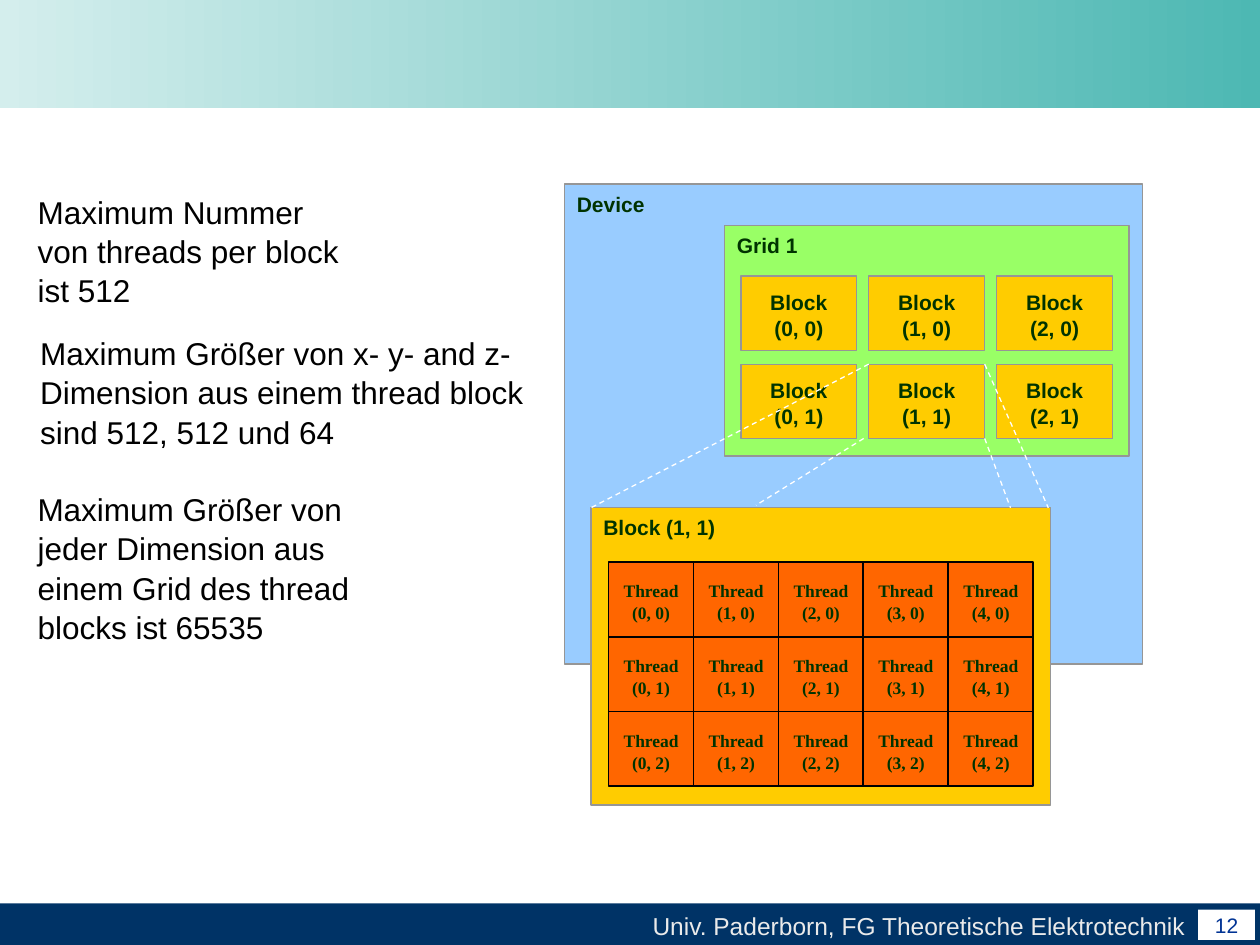
from dataclasses import dataclass
from itertools import product

from lxml import etree
from pptx import Presentation
from pptx.dml.color import RGBColor
from pptx.enum.dml import MSO_LINE
from pptx.enum.shapes import MSO_CONNECTOR, MSO_SHAPE
from pptx.enum.text import MSO_ANCHOR, PP_ALIGN
from pptx.oxml.ns import qn
from pptx.util import Inches, Pt

RECT = MSO_SHAPE.RECTANGLE
STRAIGHT = MSO_CONNECTOR.STRAIGHT
LEFT, CENTER, RIGHT = PP_ALIGN.LEFT, PP_ALIGN.CENTER, PP_ALIGN.RIGHT
TOP, MIDDLE = MSO_ANCHOR.TOP, MSO_ANCHOR.MIDDLE
DASH = MSO_LINE.DASH
INSETS = (0.1, 0.05, 0.1, 0.05)


@dataclass(frozen=True)
class Theme:
    sans: str = "Arial"
    serif: str = "Times New Roman"
    banner_start: str = "D4EEED"
    banner_end: str = "4DB8B3"
    footer: str = "003366"
    footer_text: str = "EAEAEA"
    page_text: str = "003394"
    white: str = "FFFFFF"
    black: str = "000000"
    device: str = "99CCFF"
    grid: str = "99FF66"
    block: str = "FFCC00"
    thread: str = "FF6600"
    outline: str = "969696"
    label: str = "003300"
    body_size: float = 18
    footer_size: float = 14
    label_size: float = 12
    thread_size: float = 10
    thin: float = 0.75
    rule: float = 1
    line_spacing: float = 1.04


THEME = Theme()


@dataclass(frozen=True)
class Box:
    x: float
    y: float
    w: float
    h: float

    @property
    def right(self):
        return self.x + self.w

    @property
    def bottom(self):
        return self.y + self.h

    def inches(self):
        return [Inches(v) for v in (self.x, self.y, self.w, self.h)]


def color(value):
    return RGBColor.from_string(value)


def write(shape, lines, size, ink, font=THEME.sans, bold=False, align=LEFT,
          anchor=TOP, insets=INSETS, wrap=True):
    frame = shape.text_frame
    frame.word_wrap = wrap
    frame.vertical_anchor = anchor
    (frame.margin_left, frame.margin_top,
     frame.margin_right, frame.margin_bottom) = [Inches(v) for v in insets]
    frame.text = "\n".join(lines)
    for paragraph in frame.paragraphs:
        paragraph.alignment = align
        paragraph.line_spacing = THEME.line_spacing
        paragraph.font.name = font
        paragraph.font.size = Pt(size)
        paragraph.font.bold = bold
        paragraph.font.color.rgb = color(ink)


def add_panel(slide, box, fill, outline=None, width=THEME.thin):
    panel = slide.shapes.add_shape(RECT, *box.inches())
    panel.shadow.inherit = False
    panel.fill.solid()
    panel.fill.fore_color.rgb = color(fill)
    if outline:
        panel.line.color.rgb = color(outline)
        panel.line.width = Pt(width)
    else:
        panel.line.fill.background()
    return panel


def add_labelled(slide, box, fill, lines, **style):
    panel = add_panel(slide, box, fill, THEME.outline)
    write(panel, lines, THEME.label_size, THEME.label, bold=True, **style)


def add_line(slide, start, end, ink, width, dash=None):
    line = slide.shapes.add_connector(
        STRAIGHT, *[Inches(v) for v in (*start, *end)])
    line.line.color.rgb = color(ink)
    line.line.width = Pt(width)
    if dash:
        line.line.dash_style = dash
    etree.SubElement(line._element.spPr, qn("a:effectLst"))


def add_banner(slide, box):
    banner = add_panel(slide, box, THEME.banner_start)
    banner.fill.gradient()
    banner.fill.gradient_angle = 0
    ends = (THEME.banner_start, THEME.banner_end)
    for stop, ink in zip(banner.fill.gradient_stops, ends):
        stop.color.rgb = color(ink)


def add_footer(slide, box):
    bar = add_panel(slide, box, THEME.footer)
    write(bar, ["Univ. Paderborn, FG Theoretische Elektrotechnik"],
          THEME.footer_size, THEME.footer_text, align=RIGHT,
          insets=(0.09, 0.05, 0.59, 0.05))
    page = add_panel(slide, Box(box.right - 0.49, box.y + 0.05, 0.45, 0.24),
                     THEME.white)
    write(page, ["12"], THEME.label_size, THEME.page_text, align=CENTER,
          anchor=MIDDLE, insets=(0.06, 0.05, 0.06, 0.05))


def add_block_grid(slide, box):
    """Draw the grid of blocks and return the box of Block (1, 1)."""
    add_labelled(slide, box, THEME.grid, ["Grid 1"])
    blocks = {
        (col, row): Box(box.x + 0.13 + col * 1.015, box.y + 0.4 + row * 0.7,
                        0.92, 0.59)
        for row, col in product(range(2), range(3))}
    for (col, row), block in blocks.items():
        add_labelled(slide, block, THEME.block, ["Block", f"({col}, {row})"],
                     align=CENTER, insets=(0, 0.1, 0, 0))
    return blocks[1, 1]


def add_thread_block(slide, box, cols=5, rows=3):
    add_labelled(slide, box, THEME.block, ["Block (1, 1)"])
    field = Box(box.x + 0.14, box.y + 0.43, 3.37, 1.78)
    add_panel(slide, field, THEME.thread, THEME.black, THEME.rule)
    cell_w, cell_h = field.w / cols, field.h / rows

    # Rules between the cells
    for row in range(1, rows):
        y = field.y + row * cell_h
        add_line(slide, (field.x, y), (field.right, y), THEME.black, THEME.rule)
    for col in range(1, cols):
        x = field.x + col * cell_w
        add_line(slide, (x, field.y), (x, field.bottom), THEME.black, THEME.rule)

    # Thread indices
    for row, col in product(range(rows), range(cols)):
        cell = Box(field.x + col * cell_w + (cell_w - 0.48) / 2,
                   field.y + row * cell_h + 0.14, 0.48, 0.31)
        thread = slide.shapes.add_textbox(*cell.inches())
        write(thread, ["Thread", f"({col}, {row})"], THEME.thread_size,
              THEME.label, font=THEME.serif, bold=True, align=CENTER,
              insets=(0, 0, 0, 0), wrap=False)


def add_zoom_lines(slide, block, detail):
    for start, end in (
            ((block.x, block.y), (detail.x, detail.y)),
            ((block.right, block.y), (detail.right - 0.02, detail.y)),
            ((block.x - 0.04, block.bottom), (detail.x + 1.31, detail.y - 0.02)),
            ((block.right, block.bottom), (detail.right - 0.32, detail.y))):
        add_line(slide, start, end, THEME.white, THEME.thin, DASH)


def add_device(slide, box):
    add_labelled(slide, box, THEME.device, ["Device"])
    source = add_block_grid(slide, Box(box.x + 1.27, box.y + 0.33, 3.21, 1.83))
    detail = Box(box.x + 0.21, box.y + 2.57, 3.65, 2.36)
    add_thread_block(slide, detail)
    add_zoom_lines(slide, source, detail)


def add_limits(slide, box):
    limits = (
        (Box(box.x, box.y, 2.75, 1),
         "Maximum Nummer von threads per block ist 512"),
        (Box(box.x, box.y + 2.36, 3.16, 1.3),
         "Maximum Größer von jeder Dimension aus einem Grid des thread "
         "blocks ist 65535"),
        (Box(box.x + 0.02, box.y + 1.12, box.w, 1.46),
         "Maximum Größer von x- y- and z-Dimension aus einem thread block "
         "sind 512, 512 und 64"))
    for place, limit in limits:
        note = slide.shapes.add_textbox(*place.inches())
        write(note, [limit], THEME.body_size, THEME.black)


def main():
    deck = Presentation()
    deck.slide_width, deck.slide_height = Inches(10), Inches(7.5)
    slide = deck.slides.add_slide(deck.slide_layouts[6])
    add_banner(slide, Box(0, 0, 10, 0.86))
    add_footer(slide, Box(0, 7.17, 10, 0.33))
    add_device(slide, Box(4.48, 1.46, 4.59, 3.81))
    add_limits(slide, Box(0.2, 1.47, 4.08, 3.66))
    deck.save("out.pptx")


if __name__ == "__main__":
    main()
